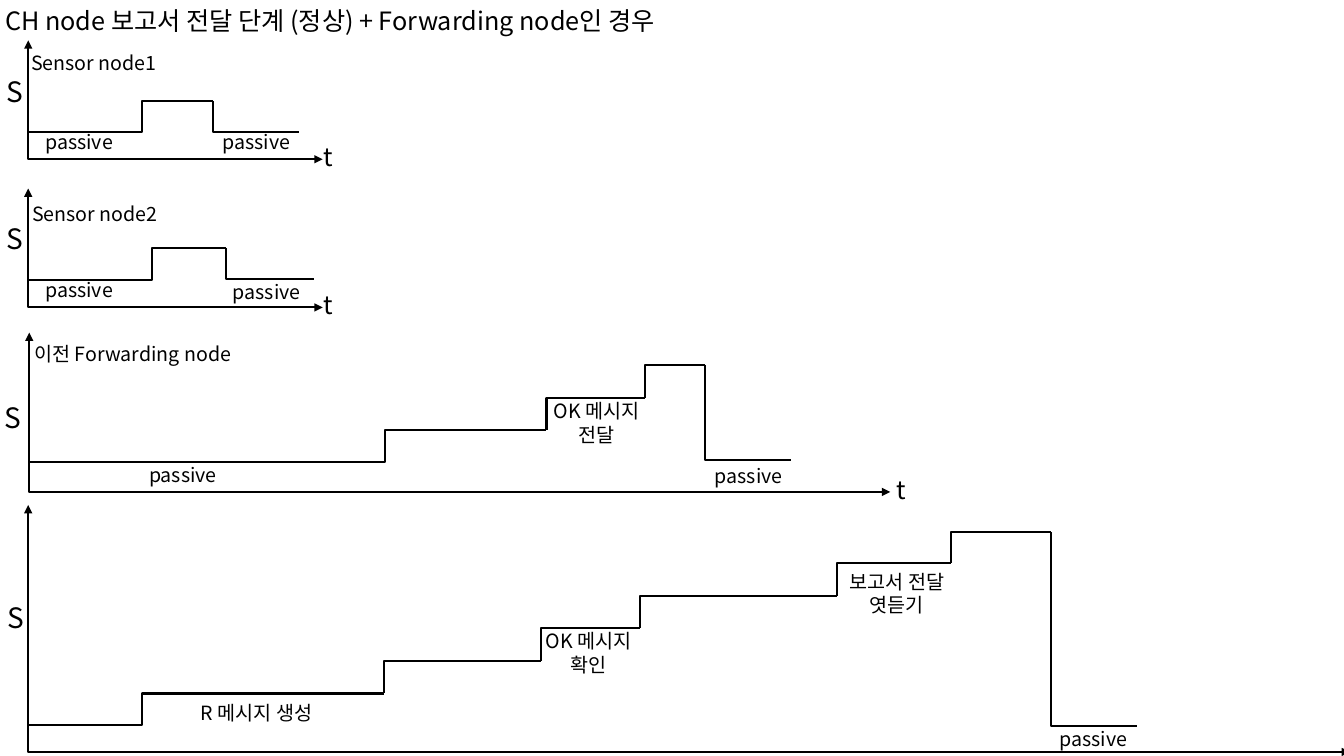
from typing import NamedTuple

from lxml.etree import SubElement
from pptx import Presentation
from pptx.dml.color import RGBColor
from pptx.enum.shapes import MSO_CONNECTOR
from pptx.enum.text import MSO_ANCHOR, MSO_AUTO_SIZE, PP_ALIGN
from pptx.oxml.ns import qn
from pptx.shapes.autoshape import Shape
from pptx.slide import Slide
from pptx.util import Inches, Pt

FONT = "Noto Sans CJK KR"
INK = "000000"
TITLE = "CH node 보고서 전달 단계 (정상) + Forwarding node인 경우"


class Label(NamedTuple):
    text: str
    left: float
    top: float
    width: float = 1.25
    height: float = 0.34
    size: int = 14
    align: PP_ALIGN = PP_ALIGN.LEFT


class Step(NamedTuple):
    """Run level to bend, jump to y, then run on to x."""
    bend: float
    x: float
    y: float


class Graph(NamedTuple):
    axis: tuple[float, float, float, float]  # left, top, right, bottom
    start: tuple[float, float]
    steps: list[Step]
    labels: list[Label]


def state(left: float, top: float) -> Label:
    return Label("S", left, top, 0.45, 0.44, 20)


def time(left: float, top: float) -> Label:
    return Label("t", left, top, 0.45, 0.4, 18)


def passive(left: float, top: float) -> Label:
    return Label("passive", left, top)


def note(text: str, left: float, top: float, width: float,
         height: float = 0.57) -> Label:
    return Label(text, left, top, width, height, align=PP_ALIGN.CENTER)


GRAPHS = [
    Graph((0.28, 0.4, 3.2, 1.58), (0.28, 1.31),
          [Step(1.41, 2.11, 1), Step(2.11, 2.97, 1.31)],
          [state(-0.03, 0.69), time(3.11, 1.35),
           Label("Sensor node1", 0.21, 0.46, 1.5),
           passive(0.35, 1.24), passive(2.11, 1.24)]),
    Graph((0.28, 1.87, 3.2, 3.05), (0.28, 2.78),
          [Step(1.51, 2.24, 2.46), Step(2.24, 3.11, 2.77)],
          [state(-0.03, 2.15), time(3.11, 2.82),
           Label("Sensor node2", 0.22, 1.95, 1.5),
           passive(0.35, 2.71), passive(2.21, 2.73)]),
    Graph((0.29, 3.3, 8.83, 4.88), (0.3, 4.58),
          [Step(3.82, 5.42, 4.27), Step(5.42, 6.4, 3.95),
           Step(6.4, 6.99, 3.62), Step(6.99, 7.85, 4.56)],
          [state(-0.05, 3.92), time(8.79, 4.66),
           Label("이전 Forwarding node", 0.24, 3.34, 2.28),
           passive(1.38, 4.54), passive(6.99, 4.55),
           note("OK 메시지\n전달", 5.08, 3.91, 1.68)]),
    Graph((0.28, 5.01, 13.39, 7.46), (0.28, 7.19),
          [Step(1.41, 3.81, 6.88), Step(3.81, 5.37, 6.56),
           Step(5.37, 6.35, 6.23), Step(6.35, 8.3, 5.91),
           Step(8.3, 9.43, 5.59), Step(9.43, 10.42, 5.28),
           Step(10.42, 11.28, 7.2)],
          [state(-0.02, 5.91), passive(10.41, 7.16),
           note("R 메시지 생성", 1.37, 6.9, 2.35, 0.34),
           note("OK 메시지\n확인", 5, 6.19, 1.68),
           note("보고서 전달\n엿듣기", 8.27, 5.6, 1.25)]),
]


def color(code: str) -> RGBColor:
    return RGBColor.from_string(code)


def write(shape: Shape, label: Label) -> None:
    shape.left, shape.top = Inches(label.left), Inches(label.top)
    shape.width, shape.height = Inches(label.width), Inches(label.height)
    frame = shape.text_frame
    frame.text = label.text
    frame.word_wrap = True
    frame.auto_size = MSO_AUTO_SIZE.NONE
    frame.vertical_anchor = MSO_ANCHOR.TOP
    for para in frame.paragraphs:
        para.alignment = label.align
        para.font.name = FONT
        para.font.size = Pt(label.size)
        para.font.color.rgb = color(INK)
        # Korean glyphs take the East Asian font
        props = para._p.pPr.find(qn("a:defRPr"))
        SubElement(props, qn("a:ea"), typeface=FONT)


def draw_bend(slide: Slide, start: tuple[float, float], step: Step,
              arrows: bool = False) -> None:
    x, y = start
    line = slide.shapes.add_connector(
        MSO_CONNECTOR.ELBOW, Inches(x), Inches(y),
        Inches(step.x), Inches(step.y))
    line.line.color.rgb = color(INK)
    line.line.width = Pt(1.5)
    props = line._element.spPr
    ratio = round((step.bend - x) / (step.x - x) * 100000)
    guides = props.find(qn("a:prstGeom")).get_or_add_avLst()
    SubElement(guides, qn("a:gd"), name="adj1", fmla=f"val {ratio}")
    if arrows:
        for end in ("a:headEnd", "a:tailEnd"):
            SubElement(props.find(qn("a:ln")), qn(end), type="triangle")
    SubElement(props, qn("a:effectLst"))


def draw_graph(slide: Slide, graph: Graph) -> None:
    # Both axes are one bent line
    left, top, right, base = graph.axis
    draw_bend(slide, (left, top), Step(left, right, base), arrows=True)
    # State trace
    spot = graph.start
    for step in graph.steps:
        draw_bend(slide, spot, step)
        spot = (step.x, step.y)
    # Labels
    for label in graph.labels:
        box = slide.shapes.add_textbox(0, 0, 0, 0)
        write(box, label)


def main() -> None:
    deck = Presentation()
    deck.slide_width, deck.slide_height = Inches(13.33), Inches(7.5)
    slide = deck.slides.add_slide(deck.slide_layouts[5])
    write(slide.shapes.title, Label(TITLE, -0.05, 0, 13.08, 0.4, 18))
    for graph in GRAPHS:
        draw_graph(slide, graph)
    deck.save("out.pptx")


if __name__ == "__main__":
    main()
